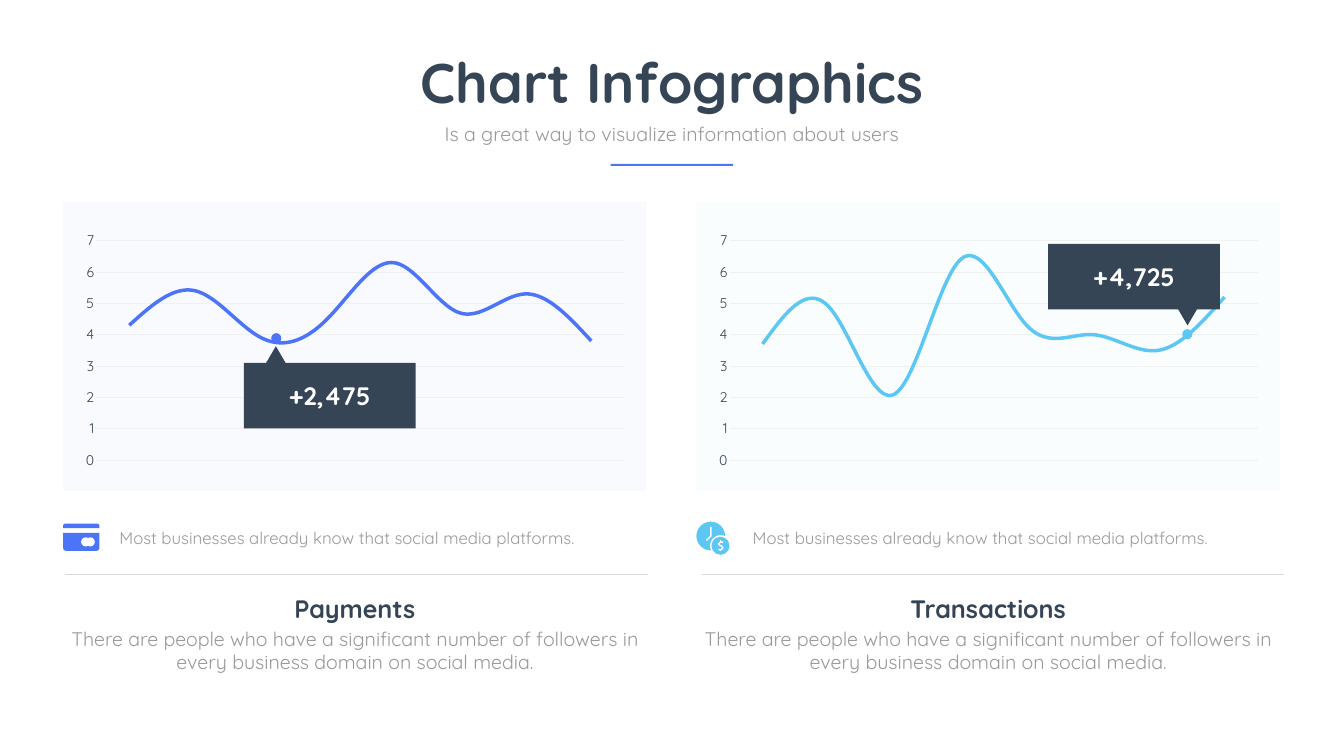
from lxml import etree
from pptx import Presentation
from pptx.chart.data import CategoryChartData
from pptx.dml.color import RGBColor
from pptx.enum.chart import XL_CHART_TYPE, XL_MARKER_STYLE, XL_TICK_MARK
from pptx.enum.shapes import MSO_CONNECTOR, MSO_SHAPE as SHAPE
from pptx.enum.text import MSO_ANCHOR as ANCHOR, MSO_AUTO_SIZE, PP_ALIGN as ALIGN
from pptx.oxml.ns import qn
from pptx.util import Cm, Pt

FONT = "Quicksand"
DARK, GREY, WHITE = "364556", "999999", "FFFFFF"
BLUE, SKY = "4B74F6", "5BC7F2"
rgb = RGBColor.from_string

prs = Presentation()
prs.slide_width, prs.slide_height = Cm(67.74), Cm(38.1)
s = prs.slides.add_slide(prs.slide_layouts[5])


def add_filled(kind, left, top, width, height, color):
    sp = s.shapes.add_shape(kind, Cm(left), Cm(top), Cm(width), Cm(height))
    sp.shadow.inherit = False
    sp.fill.solid()
    sp.fill.fore_color.rgb = rgb(color)
    sp.line.fill.background()
    return sp


def set_text(sp, text, size, color, bold=False, align=ALIGN.CENTER, anchor=ANCHOR.TOP):
    tf = sp.text_frame
    tf.text = text
    tf.word_wrap = True
    tf.auto_size = MSO_AUTO_SIZE.NONE
    tf.vertical_anchor = anchor
    tf.margin_left = tf.margin_right = Cm(0.2)
    tf.margin_top = tf.margin_bottom = Cm(0.1)
    p = tf.paragraphs[0]
    p.alignment = align
    font = p.runs[0].font
    font.name, font.size, font.bold = FONT, Pt(size), bold
    font.color.rgb = rgb(color)
    return p


# Heading
title = s.shapes.title
title.left, title.top, title.width, title.height = Cm(17.48), Cm(2.29), Cm(32.79), Cm(3.68)
set_text(title, "Chart Infographics", 80, DARK, bold=True)
subtitle = s.shapes.add_textbox(Cm(21.72), Cm(6.05), Cm(24.28), Cm(1.45))
set_text(subtitle, "Is a great way to visualize information about users", 28, GREY)
add_filled(SHAPE.RECTANGLE, 30.78, 8.26, 6.17, 0.1, BLUE)

# Panels: left edge, rule left edge, name, line colour, panel tint, values
panels = [
    (3.18, 3.3, "Payments", BLUE, "DBE3FD", (4.3, 5.4, 3.9, 4.5, 6.3, 4.7, 5.3, 3.8)),
    (35.1, 35.36, "Transactions", SKY, "DEF4FC", (3.7, 4.9, 2.1, 6.4, 4.3, 4, 3.5, 5.2)),
]
for x, rule_x, name, color, tint, values in panels:
    panel = add_filled(SHAPE.RECTANGLE, x, 10.16, 29.41, 14.58, tint)
    srgb = panel.fill._xPr.find(".//" + qn("a:srgbClr"))
    etree.SubElement(srgb, qn("a:alpha"), val="15000")

    data = CategoryChartData()
    data.categories = [str(n) for n in range(1, 9)]
    data.add_series("Series 1", values)
    chart = s.shapes.add_chart(XL_CHART_TYPE.LINE, Cm(x + 0.58), Cm(11.43),
                               Cm(28.27), Cm(12.45), data).chart
    chart.has_legend = chart.has_title = False
    chart.font.name, chart.font.size = FONT, Pt(20)
    chart.font.color.rgb = rgb(GREY)
    chart.category_axis.visible = False
    axis = chart.value_axis
    axis.minimum_scale, axis.maximum_scale, axis.major_unit = 0, 7, 1
    axis.major_tick_mark = axis.minor_tick_mark = XL_TICK_MARK.NONE
    axis.format.line.fill.background()
    axis.tick_labels.font.name, axis.tick_labels.font.size = FONT, Pt(20)
    axis.tick_labels.font.color.rgb = rgb(DARK)
    grid = axis.major_gridlines.format.line
    grid.color.rgb, grid.width = rgb("F0F0F0"), Pt(0.75)
    plot = chart.plots[0]
    plot.vary_by_categories = False
    series = plot.series[0]
    series.smooth = True
    series.marker.style = XL_MARKER_STYLE.NONE
    series.format.line.color.rgb, series.format.line.width = rgb(color), Pt(5)

    caption = s.shapes.add_textbox(Cm(x + 2.64), Cm(26.49), Cm(26.8), Cm(1.27))
    set_text(caption, "Most businesses already know that social media platforms.",
             24, GREY, align=ALIGN.LEFT)
    rule = s.shapes.add_connector(MSO_CONNECTOR.STRAIGHT, Cm(rule_x), Cm(28.93),
                                  Cm(rule_x + 29.34), Cm(28.93))
    rule.line.color.rgb, rule.line.width = rgb("D9D9D9"), Pt(1)
    etree.SubElement(rule._element.spPr, qn("a:effectLst"))
    heading = s.shapes.add_textbox(Cm(x + 0.94), Cm(29.82), Cm(27.53), Cm(1.8))
    set_text(heading, name, 36, DARK, bold=True)
    body = s.shapes.add_textbox(Cm(x - 0.33), Cm(31.6), Cm(30.07), Cm(2.64))
    p = set_text(body, "There are people who have a significant number of followers in "
                 "every business domain on social media.", 28, GREY)
    p.line_spacing = 0.95

# Callouts: text, box, pointer, pointer rotation, dot, dot colour
callouts = [
    ("+2,475", (12.29, 18.29), (13.18, 17.45), 0, (13.67, 16.79), BLUE),
    ("+4,725", (52.83, 12.29), (59.13, 15.16), 180, (59.59, 16.59), SKY),
]
for text, box_at, pointer_at, rotation, dot_at, color in callouts:
    box = add_filled(SHAPE.RECTANGLE, *box_at, 8.66, 3.3, DARK)
    set_text(box, text, 36, WHITE, bold=True, anchor=ANCHOR.MIDDLE)
    pointer = add_filled(SHAPE.ISOSCELES_TRIANGLE, *pointer_at, 1.45, 1.24, DARK)
    pointer.rotation = rotation
    add_filled(SHAPE.OVAL, *dot_at, 0.51, 0.51, color)

# Bank card icon
strip = add_filled(SHAPE.ROUND_2_SAME_RECTANGLE, 3.18, 26.39, 1.83, 0.23, BLUE)
strip.adjustments[0] = 0.5
card = add_filled(SHAPE.ROUND_2_SAME_RECTANGLE, 3.18, 26.85, 1.83, 0.91, BLUE)
card.adjustments[0] = 0.17
card.rotation = 180
for left in (4.09, 4.32):
    add_filled(SHAPE.OVAL, left, 27.08, 0.46, 0.46, WHITE)

# Clock and coin icon, its strokes in hundredths of a centimetre
add_filled(SHAPE.OVAL, 35.1, 26.29, 1.45, 1.45, SKY)
add_filled(SHAPE.OVAL, 35.79, 26.97, 1.07, 1.07, WHITE)
add_filled(SHAPE.OVAL, 35.86, 27.05, 0.91, 0.91, SKY)
clock_hands = [(3583, 2656), (3583, 2701), (3560, 2724)]
dollar_curve = [(3645, 2732), (3630, 2732), (3621, 2741), (3630, 2750),
                (3635, 2750), (3644, 2761), (3635, 2770), (3621, 2770)]
dollar_top = [(3633, 2723), (3633, 2732)]
dollar_bottom = [(3633, 2770), (3633, 2779)]
for points in (clock_hands, dollar_curve, dollar_top, dollar_bottom):
    builder = s.shapes.build_freeform(*points[0], scale=Cm(0.01))
    builder.add_line_segments(points[1:], close=False)
    stroke = builder.convert_to_shape()
    stroke.shadow.inherit = False
    stroke.fill.background()
    stroke.line.color.rgb, stroke.line.width = rgb(WHITE), Pt(2)

prs.save("out.pptx")
